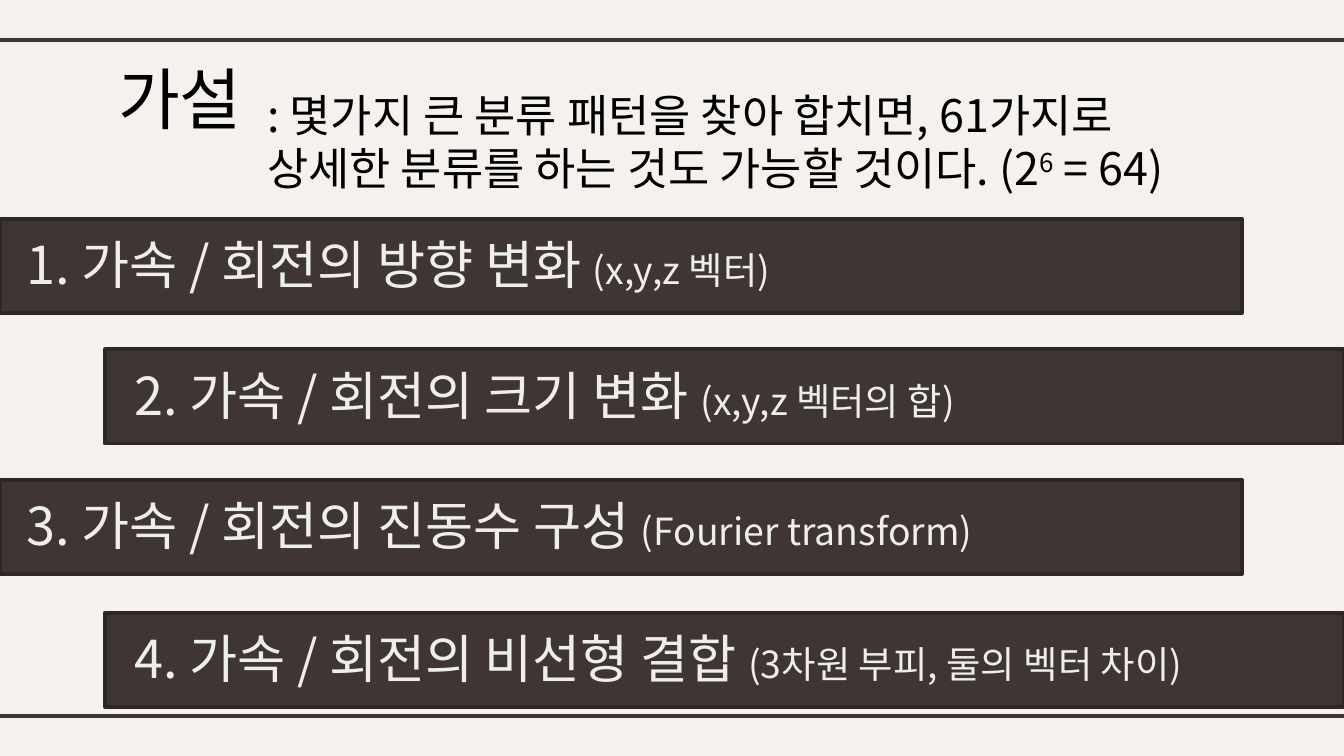
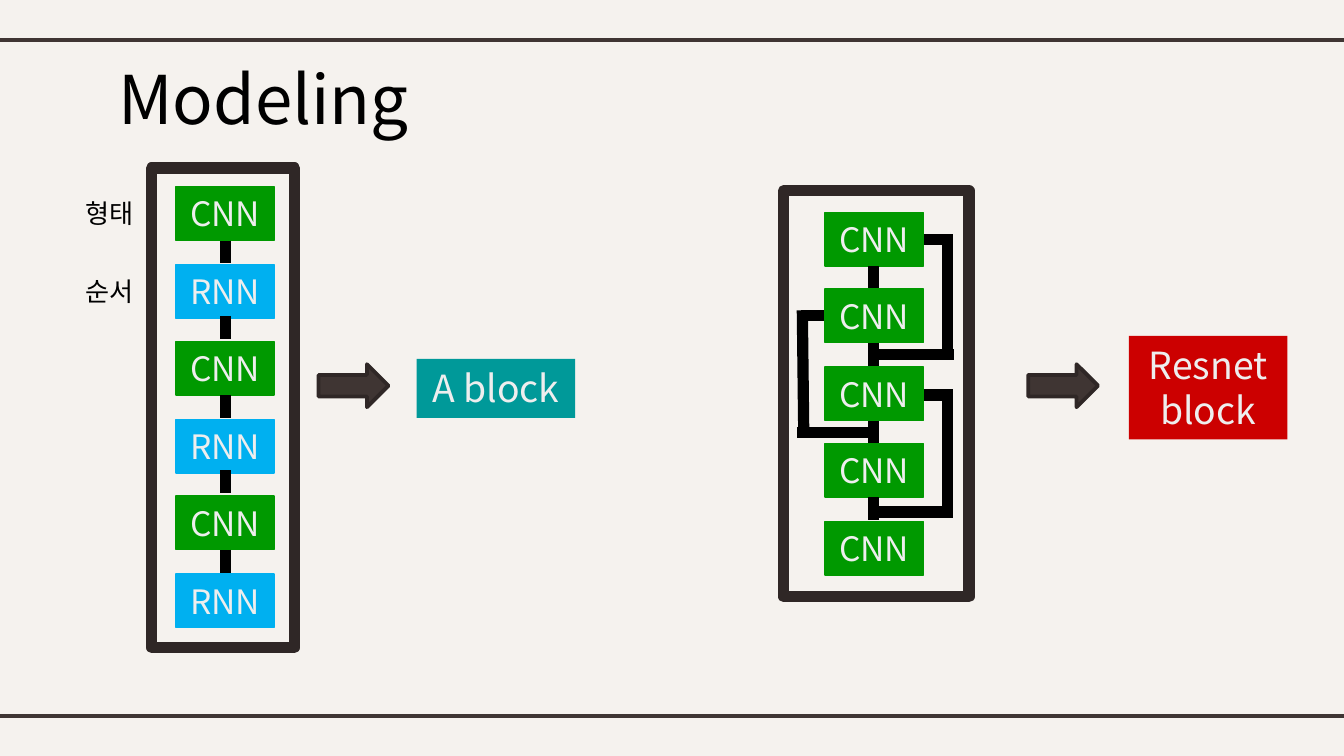
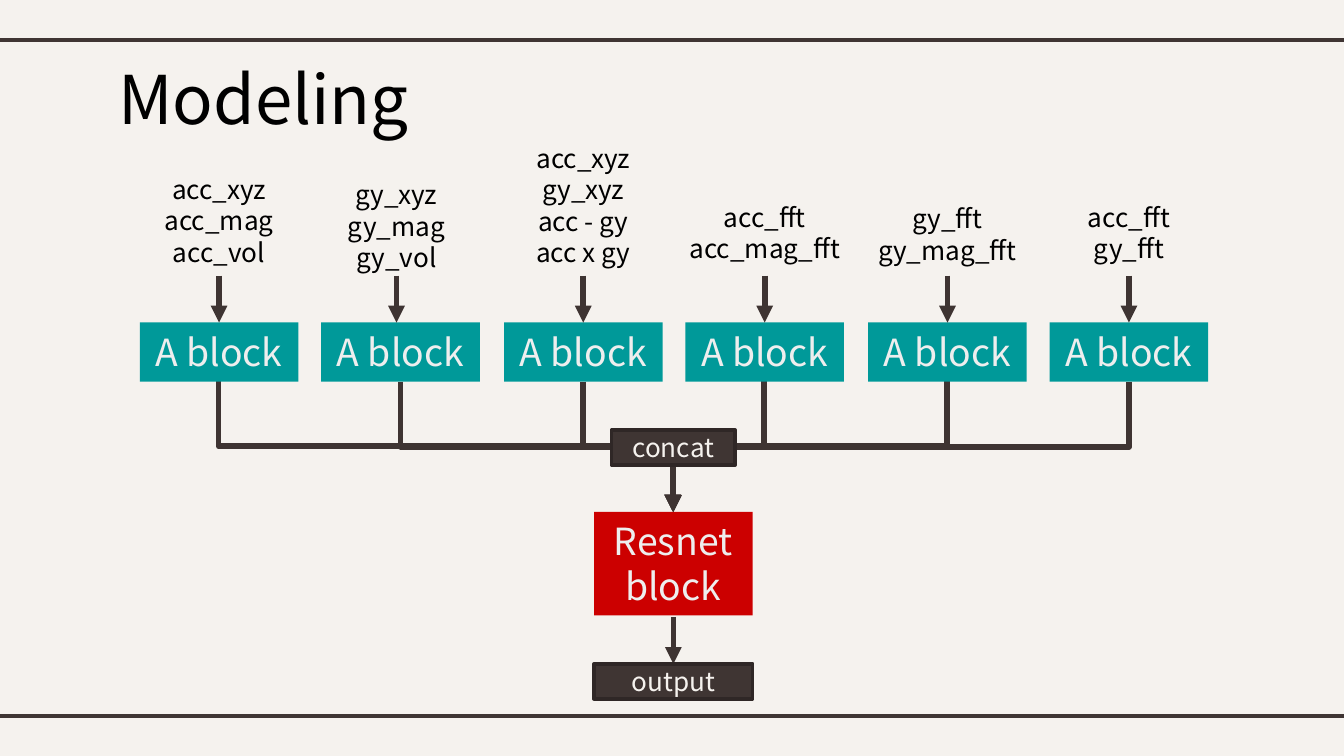
"""Build three slides on a motion classification hypothesis and its network model."""
import lxml.etree
import pptx
import pptx.dml.color
import pptx.enum.shapes
import pptx.enum.text
import pptx.oxml.ns
import pptx.util

RGB = pptx.dml.color.RGBColor
SHAPE = pptx.enum.shapes.MSO_SHAPE
WIRE = pptx.enum.shapes.MSO_CONNECTOR
ALIGN = pptx.enum.text.PP_ALIGN
ANCHOR = pptx.enum.text.MSO_ANCHOR
qn = pptx.oxml.ns.qn

PX = 9144
FONT = "Noto Sans CJK KR"
CREAM = RGB(0xF5, 0xF2, 0xEE)
PALE = RGB(0xEE, 0xEE, 0xEE)
BLACK = RGB(0, 0, 0)
BROWN = RGB(0x3F, 0x35, 0x33)
EDGE = RGB(0x2F, 0x27, 0x26)
WIRE_BROWN = RGB(0x3E, 0x34, 0x32)
GREEN = RGB(0x00, 0x99, 0x00)
BLUE = RGB(0x00, 0xB0, 0xF0)
TEAL = RGB(0x00, 0x99, 0x99)
RED = RGB(0xCC, 0x00, 0x00)


def add_box(page, place, text="", size=14, color=BLACK, kind=None, fill=None, edge=None,
            width=2, align=ALIGN.CENTER, anchor=ANCHOR.TOP):
    left, top, wide, high = [length * PX for length in place]
    if kind is None:
        box = page.shapes.add_textbox(left, top, wide, high)
    else:
        box = page.shapes.add_shape(kind, left, top, wide, high)
        box.shadow.inherit = False
        if fill is None:
            box.fill.background()
        else:
            box.fill.solid()
            box.fill.fore_color.rgb = fill
        if edge is None:
            box.line.fill.background()
        else:
            box.line.color.rgb = edge
            box.line.width = pptx.util.Pt(width)
    frame = box.text_frame
    frame.word_wrap = True
    frame.vertical_anchor = anchor
    if text:
        frame.text = text
        for para in frame.paragraphs:
            para.alignment = align
            para.font.size = pptx.util.Pt(size)
            para.font.color.rgb = color
            para.font.name = FONT
            east_asian = lxml.etree.SubElement(para.font._element, qn("a:ea"))
            east_asian.set("typeface", FONT)
    return box


def add_wire(page, ends, color, width, arrow=False, kind=WIRE.STRAIGHT):
    wire = page.shapes.add_connector(kind, *[length * PX for length in ends])
    wire.line.color.rgb = color
    wire.line.width = pptx.util.Pt(width)
    if arrow:
        tail = lxml.etree.SubElement(wire.line._get_or_add_ln(), qn("a:tailEnd"))
        tail.set("type", "triangle")
    lxml.etree.SubElement(wire._element.spPr, qn("a:effectLst"))
    return wire


deck = pptx.Presentation()
deck.slide_width = 1000 * PX
deck.slide_height = deck.slide_width * 9 // 16

pages = []
for title in ("가설", "Modeling", "Modeling"):
    page = deck.slides.add_slide(deck.slide_layouts[6])
    page.background.fill.solid()
    page.background.fill.fore_color.rgb = CREAM
    for y in (30, 533):
        add_wire(page, (0, y, 1000, y), BROWN, 2.25)
    heading = add_box(page, (78, 33, 392, 63), title, 36, align=ALIGN.LEFT)
    heading.text_frame.margin_top = heading.text_frame.margin_bottom = 10 * PX
    pages.append(page)
hypothesis, modules, network = pages

FEATURES = [
    (163, "1. 가속 / 회전의 방향 변화 ", "(x,y,z 벡터)"),
    (260, "2. 가속 / 회전의 크기 변화 ", "(x,y,z 벡터의 합)"),
    (357, "3. 가속 / 회전의 진동수 구성 ", "(Fourier transform)"),
    (456, "4. 가속 / 회전의 비선형 결합 ", "(3차원 부피, 둘의 벡터 차이)"),
]
for number, (top, feature, detail) in enumerate(FEATURES):
    left, wide, text_left, text_wide = ((0, 924, 10, 900), (78, 922, 90, 887))[number % 2]
    add_box(hypothesis, (left, top, wide, 70), kind=SHAPE.RECTANGLE, fill=BROWN, edge=EDGE)
    label = add_box(hypothesis, (text_left, top + 5, text_wide, 57), feature, 28, PALE,
                    align=ALIGN.LEFT, anchor=ANCHOR.MIDDLE)
    span = label.text_frame.paragraphs[0].add_run()
    span.text = detail
    span.font.size = pptx.util.Pt(20)

claim = add_box(hypothesis, (189, 60, 735, 91),
                ": 몇가지 큰 분류 패턴을 찾아 합치면, 61가지로 상세한 분류를 하는 것도 가능할 것이다. (2",
                24, align=ALIGN.LEFT)
para = claim.text_frame.paragraphs[0]
exponent = para.add_run()
exponent.text = "6"
exponent.font._element.set("baseline", "30000")
para.add_run().text = " = 64)"

for frame_place in ((113, 125, 106, 357), (583, 142, 138, 302)):
    add_box(modules, frame_place, kind=SHAPE.RECTANGLE, edge=EDGE, width=6)
for top, meaning in ((142, "형태"), (200, "순서")):
    add_box(modules, (54, top, 60, 34), meaning, align=ALIGN.LEFT)

for layer in range(6):
    top = (279 + 115 * layer) // 2
    name, color = (("CNN", GREEN), ("RNN", BLUE))[layer % 2]
    add_box(modules, (131, top, 73, 40), name, 18, PALE, SHAPE.RECTANGLE, color, color, 0.75)
    if layer < 5:
        start = top + 40 - 2 * (layer % 2)
        add_wire(modules, (168, start, 168, start + 17), BLACK, 6)

SKIPS = [
    (687, 178, 709, 178), (705, 177, 705, 264), (651, 264, 710, 264),
    (596, 235, 618, 235), (597, 231, 598, 319), (593, 322, 652, 322),
    (687, 294, 709, 294), (705, 293, 705, 381), (651, 381, 709, 381),
]
for skip in SKIPS:
    add_wire(modules, skip, BLACK, 6)
for layer in range(5):
    top = (316 + 115 * layer) // 2
    add_box(modules, (614, top, 73, 40), "CNN", 18, PALE, SHAPE.RECTANGLE, GREEN, GREEN, 0.75)
    if layer < 4:
        add_wire(modules, (650, top + 40, 650, top + 57), BLACK, 6)

for left in (237, 765):
    add_box(modules, (left, 271, 52, 32), kind=SHAPE.RIGHT_ARROW, fill=BROWN, edge=EDGE)
add_box(modules, (310, 267, 118, 44), "A block", 20, PALE, SHAPE.RECTANGLE, TEAL)
add_box(modules, (840, 250, 118, 77), "Resnet block", 20, PALE, SHAPE.RECTANGLE, RED)

INPUTS = [
    (163, 124, "acc_xyz\nacc_mag\nacc_vol"),
    (295, 128, "gy_xyz\ngy_mag\ngy_vol"),
    (434, 101, "acc_xyz\ngy_xyz\nacc - gy\nacc x gy"),
    (569, 145, "acc_fft\nacc_mag_fft"),
    (705, 146, "gy_fft\ngy_mag_fft"),
    (840, 145, "acc_fft\ngy_fft"),
]
HUB, BLOCK_BOTTOM, RESNET_TOP = 501, 284, 381
drop = RESNET_TOP - BLOCK_BOTTOM
for number, (center, top, names) in enumerate(INPUTS):
    left = 104 + 271 * number // 2
    middle = left + 59
    reach = abs(HUB - middle)
    frame_left = (middle + HUB - drop) // 2
    frame_top = (BLOCK_BOTTOM + RESNET_TOP - reach) // 2
    elbow = add_wire(network, (frame_left, frame_top, frame_left + drop, frame_top + reach),
                     WIRE_BROWN, 3, True, WIRE.ELBOW)
    turn = elbow._element.spPr.find(qn("a:xfrm"))
    if middle < HUB:
        turn.set("rot", "16200000")
        turn.set("flipH", "1")
    else:
        turn.set("rot", "5400000")
    add_box(network, (left, 240, 118, 44), "A block", 20, PALE, SHAPE.RECTANGLE, TEAL)
    add_wire(network, (center, 205, center, 240), WIRE_BROWN, 3, True)
    add_box(network, (center - 71, top, 142, 205 - top), names)

add_box(network, (442, RESNET_TOP, 118, 77), "Resnet block", 20, PALE, SHAPE.RECTANGLE, RED)
add_wire(network, (HUB, 459, HUB, 494), WIRE_BROWN, 3, True)
for place, name in (((455, 320, 92, 26), "concat"), ((442, 494, 118, 26), "output")):
    add_box(network, place, name, 14, CREAM, SHAPE.RECTANGLE, BROWN, EDGE, anchor=ANCHOR.MIDDLE)

deck.save("out.pptx")
